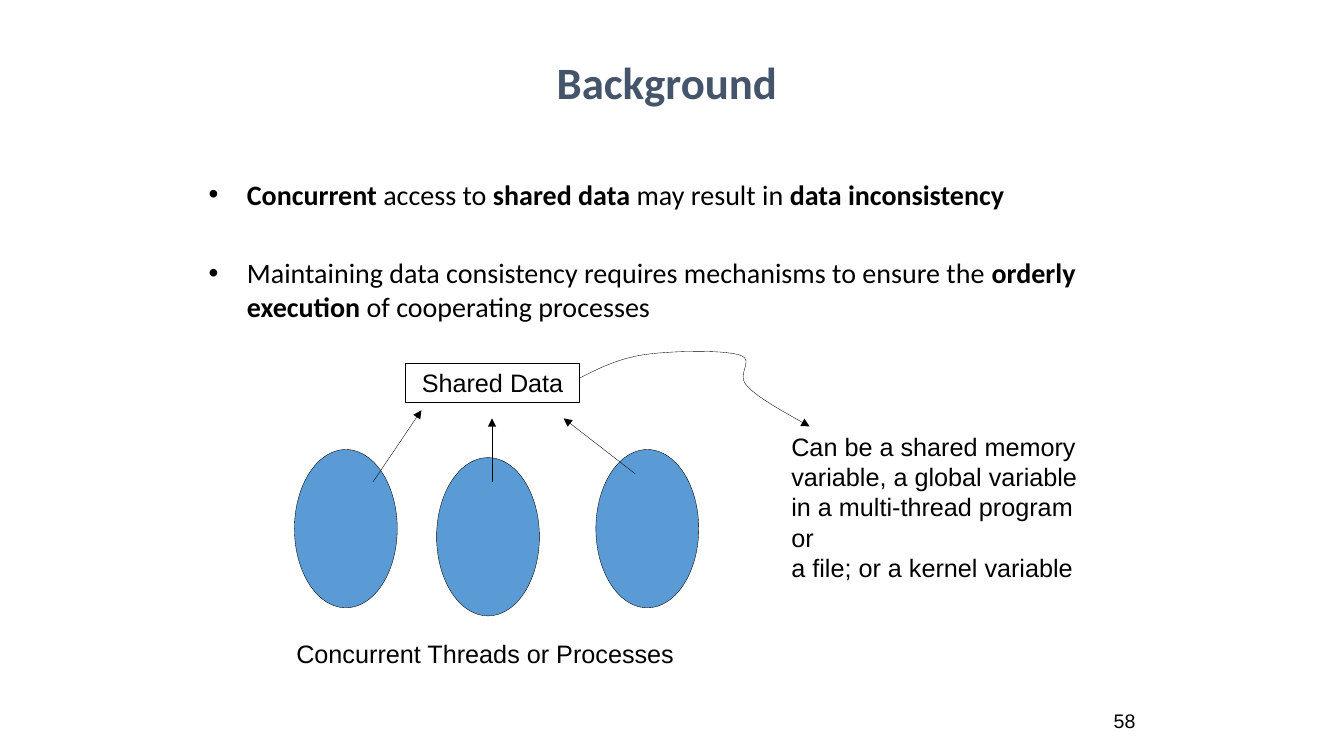
from pptx import Presentation
from pptx.dml.color import RGBColor
from pptx.enum.shapes import MSO_CONNECTOR, MSO_SHAPE
from pptx.enum.text import MSO_ANCHOR, PP_ALIGN
from pptx.oxml.ns import qn
from pptx.util import Inches, Pt
from lxml.etree import SubElement

BLACK = RGBColor(0x00, 0x00, 0x00)
SLATE = RGBColor(0x44, 0x54, 0x6A)
BLUE = RGBColor(0x5B, 0x9B, 0xD5)

POINTS = [
    (0, [("Concurrent", True), (" access to ", False),
         ("shared data", True), (" may result in ", False),
         ("data inconsistency", True)]),
    (32, [("Maintaining data consistency requires mechanisms to ensure the ", False),
          ("orderly execution", True),
          (" of cooperating processes", False)]),
]
NOTE = ["Can be a shared memory \nvariable, a global variable",
        "in a multi-thread program or\na file; or a kernel variable"]
OVALS = [(2.92, 4.46), (4.33, 4.54), (5.91, 4.46)]
ARROWS = [((3.7, 4.78), (4.18, 4.07)),
          ((4.88, 4.78), (4.88, 4.15)),
          ((6.3, 4.7), (5.59, 4.15))]
START = (5.75, 3.75)
BENDS = [
    ((5.93, 3.66), (6.12, 3.56), (6.38, 3.52)),
    ((6.64, 3.48), (7.16, 3.47), (7.33, 3.52)),
    ((7.5, 3.57), (7.29, 3.71), (7.41, 3.83)),
    ((7.52, 3.95), (7.78, 4.09), (8.03, 4.23)),
]


def trace(start, bends, steps=12):
    """Return points along a chain of cubic Bezier bends."""
    spots = []
    for one, two, end in bends:
        for step in range(1, steps + 1):
            t = step / steps
            u = 1 - t
            spots.append(tuple(
                u**3 * a + 3 * u * u * t * b + 3 * u * t * t * c + t**3 * d
                for a, b, c, d in zip(start, one, two, end)))
        start = end
    return spots


class Board:
    def __init__(self, slide):
        self.slide = slide
        self.shapes = slide.shapes
        self.ink = BLACK
        self.width = Pt(0.25)

    def style(self, para, size, face="Arial", color=BLACK, align=PP_ALIGN.LEFT):
        para.alignment = align
        para.font.size = Pt(size)
        para.font.name = face
        para.font.color.rgb = color

    def box(self, x, y, w, h, wrap=True):
        frame = self.shapes.add_textbox(
            Inches(x), Inches(y), Inches(w), Inches(h)).text_frame
        frame.word_wrap = wrap
        return frame

    def text(self, x, y, w, h, lines, size=18, wrap=True, **look):
        frame = self.box(x, y, w, h, wrap)
        for i, line in enumerate(lines):
            para = frame.add_paragraph() if i else frame.paragraphs[0]
            para.text = line
            self.style(para, size, **look)
        return frame

    def bullets(self, x, y, w, h, points, size):
        frame = self.box(x, y, w, h)
        for i, (gap, parts) in enumerate(points):
            para = frame.add_paragraph() if i else frame.paragraphs[0]
            self.style(para, size, "Calibri")
            para.space_before = Pt(gap)
            for words, bold in parts:
                run = para.add_run()
                run.text = words
                run.font.bold = bold
            props = para._p.get_or_add_pPr()
            props.set("marL", str(Inches(0.38)))
            props.set("indent", str(-Inches(0.38)))
            mark = SubElement(props, qn("a:buFont"))
            mark.set("typeface", "Arial")
            SubElement(props, qn("a:buChar")).set("char", "•")
            # The schema wants bullets ahead of default run properties.
            props.append(props.find(qn("a:defRPr")))

    def shape(self, kind, x, y, w, h, fill=None):
        item = self.shapes.add_shape(
            kind, Inches(x), Inches(y), Inches(w), Inches(h))
        item.shadow.inherit = False
        if fill is None:
            item.fill.background()
        else:
            item.fill.solid()
            item.fill.fore_color.rgb = fill
        self.outline(item)
        return item

    def outline(self, item):
        item.line.color.rgb = self.ink
        item.line.width = self.width

    def tip(self, item):
        """Put an arrowhead at the end of a line."""
        tail = SubElement(item.line._get_or_add_ln(), qn("a:tailEnd"))
        tail.set("type", "triangle")

    def arrow(self, start, end):
        ends = [Inches(v) for v in start + end]
        item = self.shapes.add_connector(MSO_CONNECTOR.STRAIGHT, *ends)
        self.outline(item)
        self.tip(item)
        SubElement(item._element.spPr, qn("a:effectLst"))

    def curve(self, start, bends):
        pen = self.shapes.build_freeform(*start, scale=Inches(1))
        # Local units are inches, so the pen works in EMU to stay exact.
        pen = self.shapes.build_freeform(*[Inches(v) for v in start])
        pen.add_line_segments(
            [(Inches(x), Inches(y)) for x, y in trace(start, bends)],
            close=False)
        item = pen.convert_to_shape()
        item.shadow.inherit = False
        item.fill.background()
        self.outline(item)
        self.tip(item)


def main():
    deck = Presentation()
    deck.slide_width, deck.slide_height = Inches(13.33), Inches(7.5)
    board = Board(deck.slides.add_slide(deck.slide_layouts[6]))

    board.text(10.32, 6.98, 1.04, 0.34, ["58"], 14, align=PP_ALIGN.RIGHT)
    title = board.text(1.97, 0.18, 9.29, 1.25, ["Background"], 32,
                       face="Calibri", color=SLATE, align=PP_ALIGN.CENTER)
    title.vertical_anchor = MSO_ANCHOR.MIDDLE
    title.paragraphs[0].font.bold = True
    board.bullets(1.97, 1.71, 9.29, 5.12, POINTS, 20)

    for x, y in OVALS:
        board.shape(MSO_SHAPE.OVAL, x, y, 1.02, 1.57, BLUE)
    data = board.shape(MSO_SHAPE.RECTANGLE, 4.02, 3.6, 1.73, 0.39).text_frame
    data.text = "Shared Data"
    data.word_wrap = False
    data.vertical_anchor = MSO_ANCHOR.MIDDLE
    board.style(data.paragraphs[0], 18, align=PP_ALIGN.CENTER)

    for start, end in ARROWS:
        board.arrow(start, end)
    board.text(2.84, 6.28, 3.95, 0.4, ["Concurrent Threads or Processes"],
               wrap=False)
    board.curve(START, BENDS)
    board.text(7.75, 4.23, 3.28, 1.3, NOTE)
    deck.save("out.pptx")


if __name__ == "__main__":
    main()
